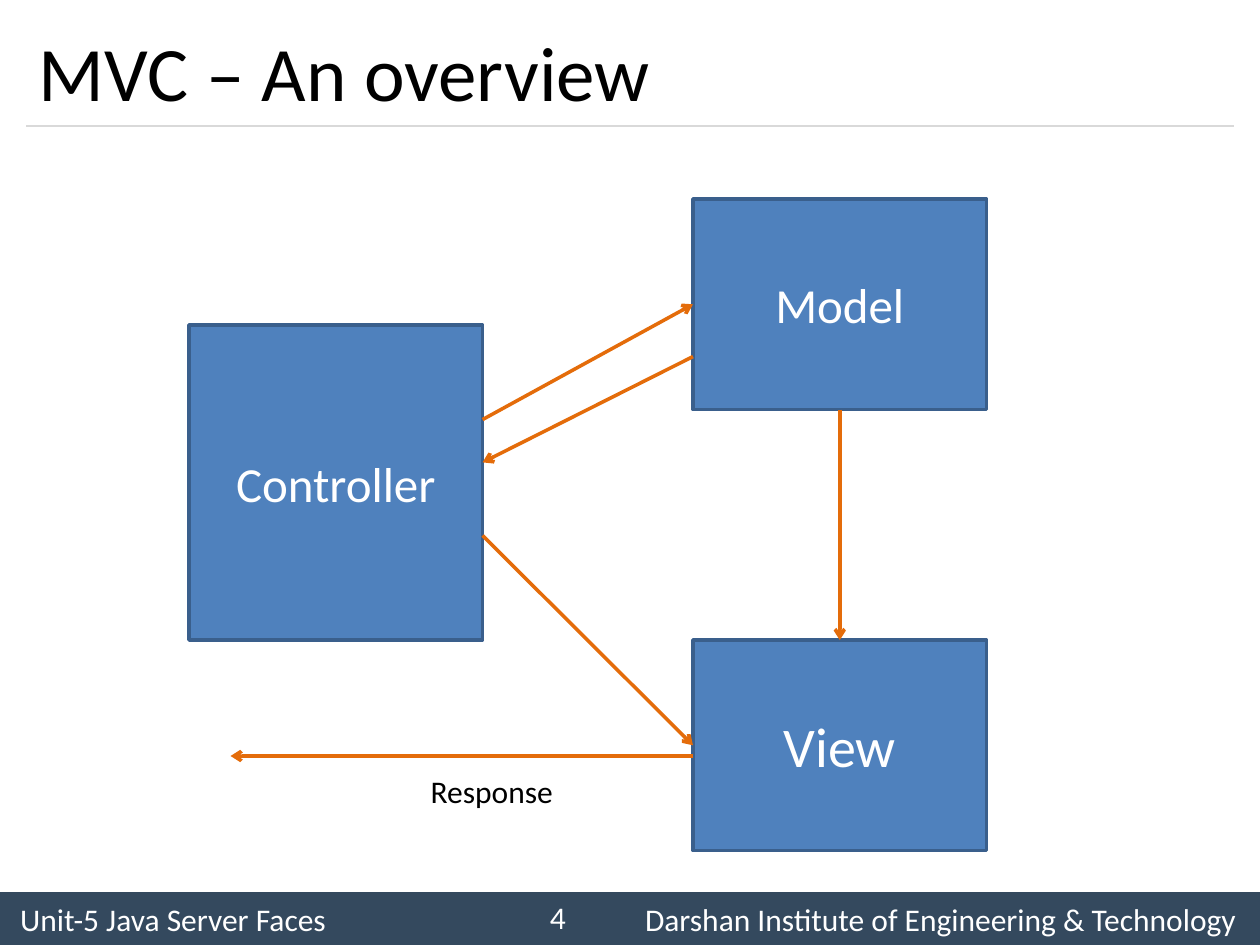
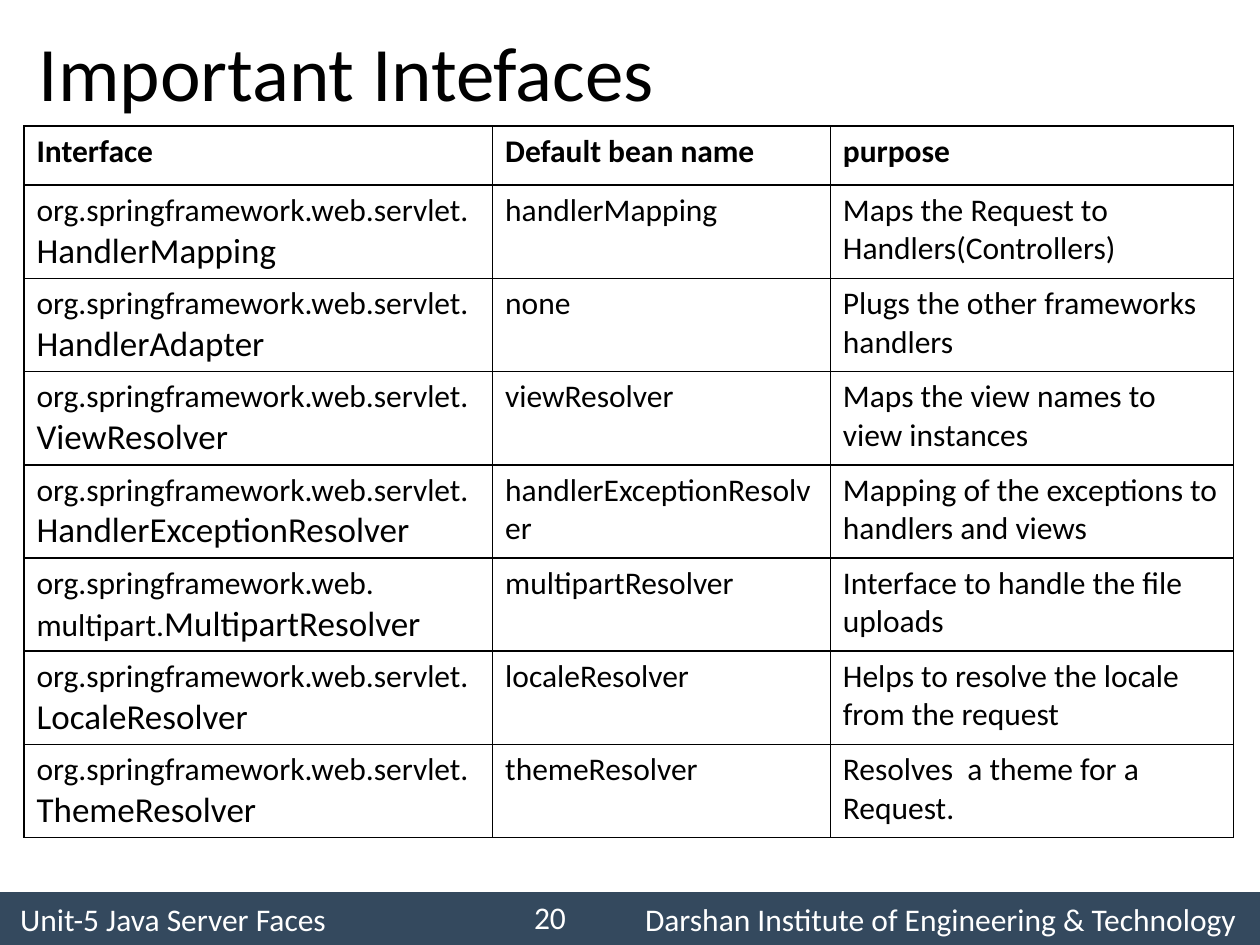
from lxml import etree
from pptx import Presentation
from pptx.dml.color import RGBColor
from pptx.enum.shapes import MSO_CONNECTOR, MSO_SHAPE
from pptx.enum.text import MSO_ANCHOR, PP_ALIGN
from pptx.oxml.ns import qn
from pptx.util import Inches, Pt

FONT = "Calibri"
BLACK = RGBColor(0, 0, 0)
WHITE = RGBColor(255, 255, 255)
FOOTER_COLOR = RGBColor(0x34, 0x49, 0x5E)
RULE_COLOR = RGBColor(0xD9, 0xD9, 0xD9)
BOX_FILL = RGBColor(0x4F, 0x81, 0xBD)
BOX_LINE = RGBColor(0x3A, 0x5F, 0x8C)
ARROW_COLOR = RGBColor(0xE4, 0x6C, 0x0A)
RECTANGLE = MSO_SHAPE.RECTANGLE
STRAIGHT = MSO_CONNECTOR.STRAIGHT
TOP, MIDDLE = MSO_ANCHOR.TOP, MSO_ANCHOR.MIDDLE
LEFT, CENTER, RIGHT = PP_ALIGN.LEFT, PP_ALIGN.CENTER, PP_ALIGN.RIGHT
TOP_SIDE, LEFT_SIDE, BOTTOM_SIDE = 0, 1, 2

UNIT = "Unit-5 Java Server Faces"
INSTITUTE = "Darshan Institute of Engineering & Technology"

BOXES = {
    "Controller": (1.5, 2.58, 2.33, 2.5, 28),
    "View": (5.5, 5.08, 2.33, 1.67, 32),
    "Model": (5.5, 1.58, 2.33, 1.67, 28),
}
ARROWS = [
    ((3.83, 3.33), (5.5, 2.42), None, ("Model", LEFT_SIDE)),
    ((3.83, 4.25), (5.5, 5.92), None, ("View", LEFT_SIDE)),
    ((5.5, 2.83), (3.83, 3.67), None, None),
    ((6.67, 3.25), (6.67, 5.08), ("Model", BOTTOM_SIDE), ("View", TOP_SIDE)),
    ((5.5, 6), (1.83, 6), None, None),
]

HEADINGS = ["Interface", "Default bean name", "purpose"]
SERVLET = "org.springframework.web.servlet."
INTERFACES = [
    ([SERVLET], "HandlerMapping", "handlerMapping", "Maps the Request to Handlers(Controllers)"),
    ([SERVLET], "HandlerAdapter", "none", "Plugs the other frameworks handlers"),
    ([SERVLET], "ViewResolver", "viewResolver", "Maps the view names to view instances"),
    ([SERVLET], "HandlerExceptionResolver", "handlerExceptionResolver",
     "Mapping of the exceptions to handlers and views"),
    (["org.springframework.web.", "multipart."], "MultipartResolver", "multipartResolver",
     "Interface to handle the file uploads"),
    ([SERVLET], "LocaleResolver", "localeResolver", "Helps to resolve the locale from the request"),
    ([SERVLET], "ThemeResolver", "themeResolver", "Resolves  a theme for a Request."),
]
COLUMN_WIDTHS = [3.72, 2.68, 3.2]
HEADING_HEIGHT, ROW_HEIGHT = 0.47, 0.74


def add_run(paragraph, text, size=18, color=BLACK, bold=False):
    run = paragraph.add_run()
    run.text = text
    run.font.name = FONT
    run.font.size = Pt(size)
    run.font.bold = bold
    run.font.color.rgb = color


def add_text(slide, place, text, size=18, color=BLACK, align=LEFT, anchor=MIDDLE, wrap=True):
    frame = slide.shapes.add_textbox(*map(Inches, place)).text_frame
    frame.word_wrap = wrap
    frame.vertical_anchor = anchor
    paragraph = frame.paragraphs[0]
    paragraph.alignment = align
    add_run(paragraph, text, size, color)


def add_rectangle(slide, place, fill, line=None):
    shape = slide.shapes.add_shape(RECTANGLE, *map(Inches, place))
    shape.shadow.inherit = False
    shape.fill.solid()
    shape.fill.fore_color.rgb = fill
    if line is None:
        shape.line.fill.background()
    else:
        shape.line.color.rgb = line
        shape.line.width = Pt(2)
    shape.text_frame.vertical_anchor = MIDDLE
    return shape


def add_line(slide, start, end, color, width, arrow=False):
    connector = slide.shapes.add_connector(STRAIGHT, *map(Inches, start + end))
    connector.line.color.rgb = color
    connector.line.width = Pt(width)
    properties = connector._element.spPr
    if arrow:
        etree.SubElement(properties.find(qn("a:ln")), qn("a:tailEnd"), type="arrow")
    etree.SubElement(properties, qn("a:effectLst"))
    return connector


def add_page(presentation, title, number):
    slide = presentation.slides.add_slide(presentation.slide_layouts[6])
    footer = add_rectangle(slide, (0, 7.08, 10, 0.42), FOOTER_COLOR)
    footer.text_frame.margin_left = Inches(0.16)
    paragraph = footer.text_frame.paragraphs[0]
    paragraph.alignment = LEFT
    tabs = etree.SubElement(paragraph._p.get_or_add_pPr(), qn("a:tabLst"))
    etree.SubElement(tabs, qn("a:tab"), pos=str(Inches(4.96)), algn="l")
    add_run(paragraph, UNIT + "\t" + INSTITUTE, color=WHITE)
    add_line(slide, (0.21, 1), (9.79, 1), RULE_COLOR, 0.75)
    add_text(slide, (0.21, 0.12, 9.58, 0.88), title, 44)
    add_text(slide, (3.92, 7.08, 0.67, 0.4), str(number), color=WHITE, align=RIGHT)
    return slide


def add_overview(presentation):
    slide = add_page(presentation, "MVC – An overview", 4)
    boxes = {}
    for name, (*place, size) in BOXES.items():
        box = add_rectangle(slide, place, BOX_FILL, BOX_LINE)
        paragraph = box.text_frame.paragraphs[0]
        paragraph.alignment = CENTER
        add_run(paragraph, name, size, WHITE)
        boxes[name] = box
    for start, end, source, target in ARROWS:
        arrow = add_line(slide, start, end, ARROW_COLOR, 2, arrow=True)
        if source:
            arrow.begin_connect(boxes[source[0]], source[1])
        if target:
            arrow.end_connect(boxes[target[0]], target[1])
    add_text(slide, (3.32, 6.08, 1.18, 0.4), "Response", anchor=TOP, wrap=False)


def style_cell(cell):
    properties = cell._tc.get_or_add_tcPr()
    for side in ("lnL", "lnR", "lnT", "lnB"):
        border = etree.SubElement(properties, qn("a:" + side), w=str(Pt(1)))
        fill = etree.SubElement(border, qn("a:solidFill"))
        etree.SubElement(fill, qn("a:srgbClr"), val=str(BLACK))
    cell.fill.background()


def add_interfaces(presentation):
    slide = add_page(presentation, "Important Intefaces", 20)
    height = HEADING_HEIGHT + ROW_HEIGHT * len(INTERFACES)
    table = slide.shapes.add_table(
        len(INTERFACES) + 1, len(HEADINGS),
        *map(Inches, (0.19, 1, sum(COLUMN_WIDTHS), height))).table
    table.first_row = table.horz_banding = False
    for column, width in zip(table.columns, COLUMN_WIDTHS):
        column.width = Inches(width)
    for index, row in enumerate(table.rows):
        row.height = Inches(ROW_HEIGHT if index else HEADING_HEIGHT)
    for cell in table.iter_cells():
        style_cell(cell)
    for column, heading in enumerate(HEADINGS):
        add_run(table.cell(0, column).text_frame.paragraphs[0], heading, bold=True)
    for row, (packages, name, bean, purpose) in enumerate(INTERFACES, 1):
        frame = table.cell(row, 0).text_frame
        for index, package in enumerate(packages):
            paragraph = frame.add_paragraph() if index else frame.paragraphs[0]
            add_run(paragraph, package)
        add_run(paragraph, name, 20)
        for column, text in enumerate((bean, purpose), 1):
            add_run(table.cell(row, column).text_frame.paragraphs[0], text)


def main():
    presentation = Presentation()
    presentation.slide_width = Inches(10)
    presentation.slide_height = Inches(7.5)
    add_overview(presentation)
    add_interfaces(presentation)
    presentation.save("out.pptx")


if __name__ == "__main__":
    main()
